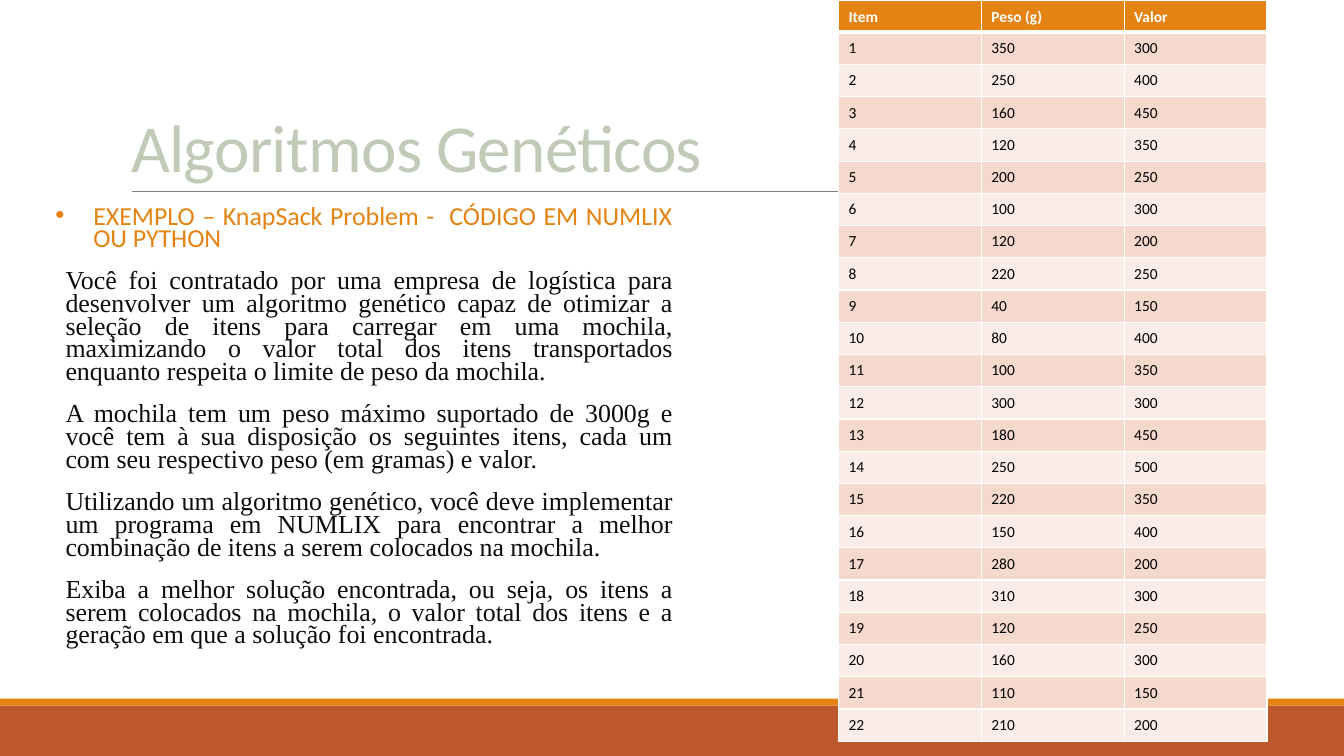
from pptx import Presentation
from pptx.dml.color import RGBColor
from pptx.enum.shapes import MSO_CONNECTOR, MSO_SHAPE
from pptx.enum.text import MSO_ANCHOR, PP_ALIGN
from pptx.oxml.ns import qn
from pptx.util import Pt
from lxml.etree import SubElement

# Content
TITLE = "Algoritmos Genéticos"
HEADING = "EXEMPLO – KnapSack Problem -  CÓDIGO EM NUMLIX OU PYTHON"
PARAGRAPHS = [
    "Você foi contratado por uma empresa de logística para desenvolver um algoritmo "
    "genético capaz de otimizar a seleção de itens para carregar em uma mochila, "
    "maximizando o valor total dos itens transportados enquanto respeita o limite "
    "de peso da mochila.",
    "A mochila tem um peso máximo suportado de 3000g e você tem à sua disposição os "
    "seguintes itens, cada um com seu respectivo peso (em gramas) e valor.",
    "Utilizando um algoritmo genético, você deve implementar um programa em NUMLIX "
    "para encontrar a melhor combinação de itens a serem colocados na mochila.",
    "Exiba a melhor solução encontrada, ou seja, os itens a serem colocados na "
    "mochila, o valor total dos itens e a geração em que a solução foi encontrada.",
]
HEADERS = ["Item", "Peso (g)", "Valor"]
WEIGHTS = [350, 250, 160, 120, 200, 100, 120, 220, 40, 80, 100,
           300, 180, 250, 220, 150, 280, 310, 120, 160, 110, 210]
VALUES = [300, 400, 450, 350, 250, 300, 200, 250, 150, 400, 350,
          300, 450, 500, 350, 400, 200, 300, 250, 300, 150, 200]

COLORS = {
    "orange": "E48312", "rust": "BD582C", "rule": "808080", "title": "C1CAB6",
    "text": "0D0D0D", "white": "FFFFFF", "black": "000000",
    "odd": "F5D9CC", "even": "FAEDE7",
}
PAGE_WIDTH, PAGE_HEIGHT = 960, 540
COLUMN_WIDTH, ROW_HEIGHT = 102, 23.04


def color(name):
    return RGBColor.from_string(COLORS[name])


def style(para, font_name, size, color_name, bold=False):
    for span in para.runs:
        span.font.name = font_name
        span.font.size = Pt(size)
        span.font.bold = bold
        span.font.color.rgb = color(color_name)


def add_bar(page, top, height, color_name):
    bar = page.shapes.add_shape(MSO_SHAPE.RECTANGLE, 0, Pt(top), Pt(PAGE_WIDTH), Pt(height))
    bar.shadow.inherit = False
    bar.fill.solid()
    bar.fill.fore_color.rgb = color(color_name)
    bar.line.fill.background()


def add_rule(page):
    rule = page.shapes.add_connector(MSO_CONNECTOR.STRAIGHT, Pt(94.3), Pt(136.8), Pt(879), Pt(136.8))
    rule.line.color.rgb = color("rule")
    rule.line.width = Pt(0.5)
    SubElement(rule._element.spPr, qn("a:effectLst"))


def add_title(page):
    title = page.shapes.title
    title.left, title.top, title.width, title.height = Pt(86.4), Pt(22.3), Pt(792), Pt(114.5)
    frame = title.text_frame
    frame.text = TITLE
    frame.vertical_anchor = MSO_ANCHOR.BOTTOM
    para = frame.paragraphs[0]
    para.alignment = PP_ALIGN.LEFT
    para.line_spacing = 0.85
    style(para, "Calibri", 48, "title")
    para.runs[0].font._element.set("spc", "-50")


def add_body(page):
    box = page.shapes.add_textbox(Pt(39.6), Pt(145.4), Pt(440.6), Pt(345.6))
    frame = box.text_frame
    frame.word_wrap = True
    frame.margin_left = frame.margin_right = 0
    for index, text in enumerate([HEADING] + PARAGRAPHS):
        para = frame.add_paragraph() if index else frame.paragraphs[0]
        para.text = text
        para.alignment = PP_ALIGN.JUSTIFY
        para.space_after = Pt(2)
        props = para._p.get_or_add_pPr()
        if index:
            para.line_spacing = 0.73
            para.space_before = Pt(12)
            props.set("marL", str(Pt(7.2)))
            style(para, "Times New Roman", 18.5, "text")
        else:
            para.line_spacing = 0.7
            props.set("marL", str(Pt(27)))
            props.set("indent", str(-Pt(27)))
            bullet_color = SubElement(props, qn("a:buClr"))
            SubElement(bullet_color, qn("a:srgbClr")).set("val", COLORS["orange"])
            SubElement(props, qn("a:buFont")).set("typeface", "Arial")
            SubElement(props, qn("a:buChar")).set("char", "•")
            style(para, "Calibri", 18.5, "orange")


def set_borders(cell, top, bottom):
    props = cell._tc.get_or_add_tcPr()
    for side, width in (("L", 1), ("R", 1), ("T", top), ("B", bottom)):
        line = SubElement(props, qn("a:ln" + side))
        line.set("w", str(Pt(width)))
        fill = SubElement(line, qn("a:solidFill"))
        SubElement(fill, qn("a:srgbClr")).set("val", COLORS["white"])


def add_items(page):
    rows = [HEADERS] + list(zip(range(1, len(WEIGHTS) + 1), WEIGHTS, VALUES))
    table = page.shapes.add_table(
        len(rows), len(HEADERS), Pt(599), 0,
        Pt(COLUMN_WIDTH * len(HEADERS)), Pt(ROW_HEIGHT * len(rows))).table
    for column in table.columns:
        column.width = Pt(COLUMN_WIDTH)
    for r, row in enumerate(rows):
        table.rows[r].height = Pt(ROW_HEIGHT)
        fill_name = ("odd" if r % 2 else "even") if r else "orange"
        for c, value in enumerate(row):
            cell = table.cell(r, c)
            cell.text = str(value)
            cell.vertical_anchor = MSO_ANCHOR.MIDDLE if r else MSO_ANCHOR.BOTTOM
            set_borders(cell, 3 if r == 1 else 1, 1 if r else 3)
            cell.fill.solid()
            cell.fill.fore_color.rgb = color(fill_name)
            style(cell.text_frame.paragraphs[0], "Calibri", 11,
                  "black" if r else "white", bold=r == 0)


def main():
    deck = Presentation()
    deck.slide_width, deck.slide_height = Pt(PAGE_WIDTH), Pt(PAGE_HEIGHT)
    page = deck.slides.add_slide(deck.slide_layouts[5])
    # Footer bars and title rule
    add_bar(page, 504, 36, "rust")
    add_bar(page, 499, 5, "orange")
    add_rule(page)
    # Text and table
    add_title(page)
    add_body(page)
    add_items(page)
    deck.save("out.pptx")


if __name__ == "__main__":
    main()
